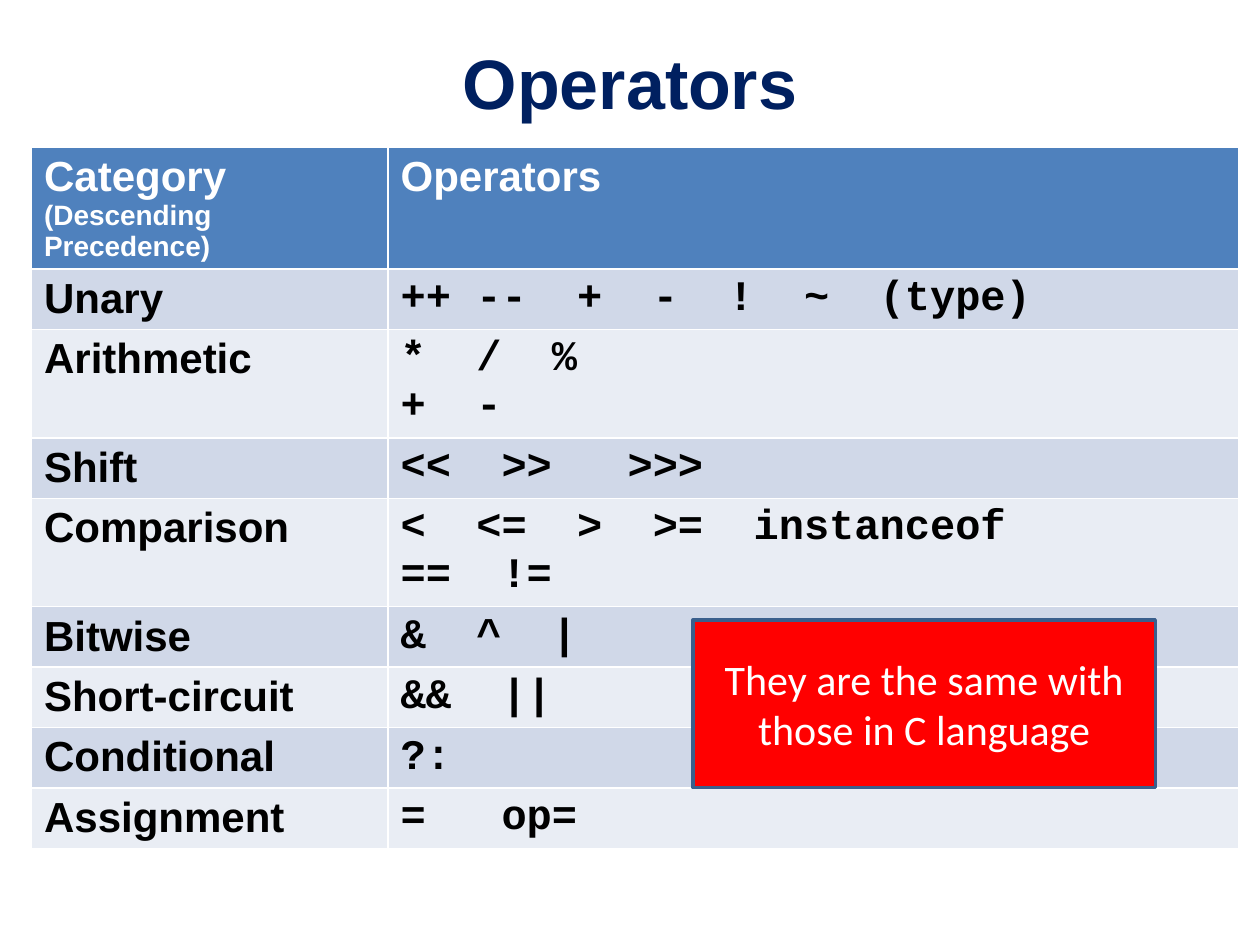
from pptx import Presentation
from pptx.dml.color import RGBColor
from pptx.enum import shapes, text
from pptx.util import Inches, Pt

SANS, MONO = "Arial", "Courier New"
NAVY, BLUE, WHITE, BLACK = "002060", "4F81BD", "FFFFFF", "000000"
BANDS = "D0D8E8", "E9EDF4"
RED, EDGE = "FF0000", "3A5F8C"

ROWS = [
    ("Unary", "++ --  +  -  !  ~  (type)"),
    ("Arithmetic", "*  /  %\n+  -"),
    ("Shift", "<<  >>   >>>"),
    ("Comparison", "<  <=  >  >=  instanceof\n==  !="),
    ("Bitwise", "&  ^  |"),
    ("Short-circuit", "&&  ||"),
    ("Conditional", "?:"),
    ("Assignment", "=   op="),
]


def color(code):
    return RGBColor.from_string(code)


def box(left, top, width, height):
    return Inches(left), Inches(top), Inches(width), Inches(height)


class Deck:
    def __init__(self):
        self.file = Presentation()
        self.file.slide_width = Inches(10)
        self.file.slide_height = Inches(7.5)
        self.slide = self.file.slides.add_slide(self.file.slide_layouts[5])

    def label(self, frame, words, sizes, face, ink, bold=True, align=None):
        frame.text = words
        frame.word_wrap = True
        for para, size in zip(frame.paragraphs, sizes):
            para.alignment = align
            for run in para.runs:
                font = run.font
                font.name, font.size, font.bold = face, Pt(size), bold
                font.color.rgb = color(ink)

    def title(self, words, area):
        shape = self.slide.shapes.title
        shape.left, shape.top, shape.width, shape.height = area
        self.label(shape.text_frame, words, [40], SANS, NAVY,
                   align=text.PP_ALIGN.CENTER)
        shape.text_frame.vertical_anchor = text.MSO_ANCHOR.MIDDLE

    def cell(self, cell, words, face, ink, fill, sizes=(24, 24)):
        cell.fill.solid()
        cell.fill.fore_color.rgb = color(fill)
        self.label(cell.text_frame, words, sizes, face, ink)

    def table(self, head, rows, widths, area):
        table = self.slide.shapes.add_table(
            len(rows) + 1, len(widths), *area).table
        for column, width in zip(table.columns, widths):
            column.width = Inches(width)
        table.rows[0].height = Inches(0.86)
        for cell, words in zip(table.rows[0].cells, head):
            self.cell(cell, words, SANS, WHITE, BLUE, (24, 16))
        for index, row in enumerate(rows):
            line = table.rows[index + 1]
            line.height = Inches(0.86 if "\n" in row[1] else 0.48)
            for cell, words, face in zip(line.cells, row, (SANS, MONO)):
                self.cell(cell, words, face, BLACK, BANDS[index % 2])

    def note(self, words, area):
        shape = self.slide.shapes.add_shape(
            shapes.MSO_SHAPE.RECTANGLE, *area)
        shape.shadow.inherit = False
        shape.fill.solid()
        shape.fill.fore_color.rgb = color(RED)
        shape.line.color.rgb = color(EDGE)
        shape.line.width = Pt(2)
        self.label(shape.text_frame, words, [24], "Calibri", WHITE,
                   bold=False, align=text.PP_ALIGN.CENTER)
        shape.text_frame.vertical_anchor = text.MSO_ANCHOR.MIDDLE


def main():
    deck = Deck()
    deck.title("Operators", box(0.5, 0.3, 9, 0.7))
    deck.table(("Category\n(Descending Precedence)", "Operators"), ROWS,
               (2.83, 6.75), box(0.25, 1.17, 9.58, 5.46))
    deck.note("They are the same with those in C language",
              box(5.5, 4.92, 3.67, 1.33))
    deck.file.save("out.pptx")


if __name__ == "__main__":
    main()
